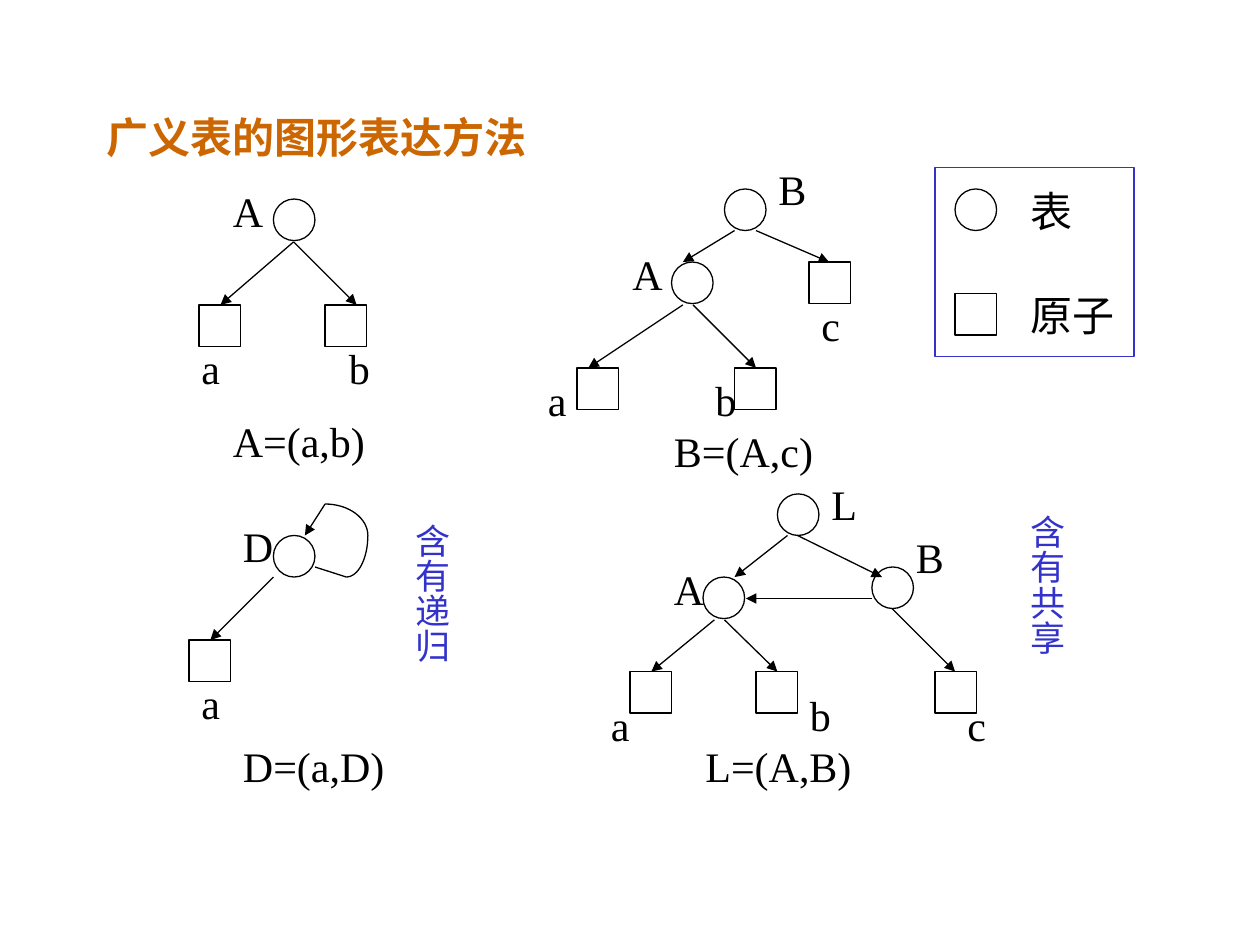
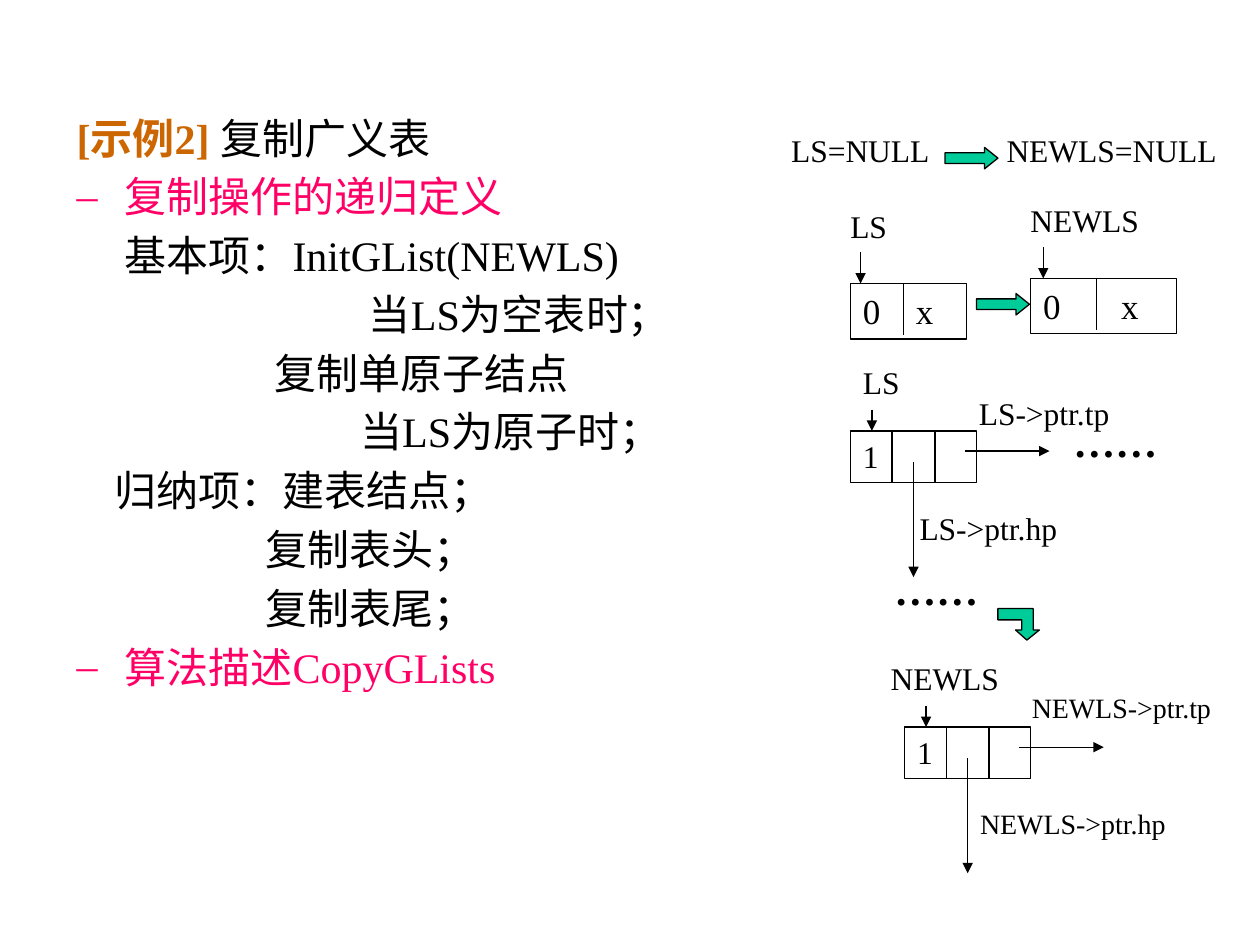
import math

from lxml import etree
from pptx import Presentation
from pptx import util as u
from pptx.dml.color import RGBColor
from pptx.enum import shapes, text
from pptx.oxml.ns import qn

BLACK, WHITE, ORANGE = "000000", "FFFFFF", "CC6600"
BLUE, PINK, GREEN = "3333CC", "FF0066", "00CC99"
FONT = "Times New Roman"
NODE = 0.33


def rgb(value):
    """Turn a hex string into a colour."""
    return RGBColor.from_string(value)


def write(paragraph, content, size=24, color=BLACK, bold=False):
    """Add a formatted run to a paragraph."""
    run = paragraph.add_run()
    run.text = content
    run.font.name, run.font.size = FONT, u.Pt(size)
    run.font.bold, run.font.color.rgb = bold, rgb(color)


def add_tab(paragraph, position):
    """Give a paragraph one left tab stop."""
    tabs = etree.SubElement(paragraph._p.get_or_add_pPr(), qn("a:tabLst"))
    etree.SubElement(tabs, qn("a:tab"), pos=str(u.Inches(position)), algn="l")


def indent(paragraph, left, bullet=None):
    """Indent a paragraph, with a hanging bullet if one is given."""
    properties = paragraph._p.get_or_add_pPr()
    properties.set("marL", str(u.Inches(left)))
    properties.set("indent", str(u.Inches(-left if bullet else 0)))
    if bullet:
        etree.SubElement(properties, qn("a:buFont"), typeface=FONT)
        etree.SubElement(properties, qn("a:buChar"), char=bullet)


class Deck:
    """Holds the presentation, its style and the current slide."""

    def __init__(self):
        """Start an empty 10 by 7.5 inch presentation."""
        self.presentation = Presentation()
        self.presentation.slide_width = u.Inches(10)
        self.presentation.slide_height = u.Inches(7.5)

    def new_slide(self):
        """Add a white blank slide and make it current."""
        layout = self.presentation.slide_layouts[6]
        self.slide = self.presentation.slides.add_slide(layout)
        self.slide.background.fill.solid()
        self.slide.background.fill.fore_color.rgb = rgb(WHITE)

    def style(self, shape, fill=None, line=BLACK):
        """Set fill and outline, and remove the shadow."""
        shape.shadow.inherit = False
        if fill:
            shape.fill.solid()
            shape.fill.fore_color.rgb = rgb(fill)
        else:
            shape.fill.background()
        shape.line.color.rgb = rgb(line)
        shape.line.width = u.Pt(0.75)
        return shape

    def text_box(self, x, y, width, height):
        """Add an empty wrapping text box."""
        shape = self.slide.shapes.add_textbox(*map(u.Inches, (x, y, width, height)))
        shape.text_frame.word_wrap = True
        return shape

    def label(self, content, x, y, width=0.5, height=0.5, tab=None, **style):
        """Add a one-line text."""
        shape = self.text_box(x, y, width, height)
        paragraph = shape.text_frame.paragraphs[0]
        write(paragraph, content, **style)
        if tab:
            add_tab(paragraph, tab)
        return shape

    def vertical_label(self, content, x, y):
        """Add a centred text that runs from top to bottom."""
        shape = self.label(content, x, y, 0.53, 1.65, size=20, color=BLUE)
        shape.text_frame._txBody.bodyPr.set("vert", "eaVert")
        shape.text_frame.paragraphs[0].alignment = text.PP_ALIGN.CENTER

    def preset(self, kind, x, y, width=NODE, height=NODE, **style):
        """Add a preset shape."""
        shape = self.slide.shapes.add_shape(kind, *map(u.Inches, (x, y, width, height)))
        return self.style(shape, **style)

    def lists(self, *places):
        """Draw a circle for each list node."""
        for x, y in places:
            self.preset(shapes.MSO_SHAPE.OVAL, x, y)

    def atoms(self, *places):
        """Draw a square for each atom node."""
        for x, y in places:
            self.preset(shapes.MSO_SHAPE.RECTANGLE, x, y)

    def line(self, x1, y1, x2, y2, arrow=False):
        """Add a straight line, with an arrowhead at its end if asked."""
        connector = self.slide.shapes.add_connector(
            shapes.MSO_CONNECTOR.STRAIGHT, *map(u.Inches, (x1, y1, x2, y2)))
        connector.line.color.rgb = rgb(BLACK)
        connector.line.width = u.Pt(0.75)
        if arrow:
            etree.SubElement(connector.get_or_add_ln(), qn("a:tailEnd"), type="triangle")
        etree.SubElement(connector._element.spPr, qn("a:effectLst"))

    def arrows(self, *ends):
        """Add several arrows."""
        for end in ends:
            self.line(*end, arrow=True)

    def outline(self, points, close=False, **style):
        """Add a freeform through the given points."""
        start, *others = [(u.Inches(x), u.Inches(y)) for x, y in points]
        builder = self.slide.shapes.build_freeform(*start)
        builder.add_line_segments(others, close=close)
        return self.style(builder.convert_to_shape(), **style)

    def arc(self, x, y, width, height):
        """Add a quarter ellipse around a centre, from its side to its end."""
        angles = [math.pi / 2 * step / 16 for step in range(17)]
        self.outline([(x + width * math.cos(a), y + height * math.sin(a)) for a in angles])

    def block_arrow(self, x, y):
        """Add a green arrow to the right."""
        shape = self.preset(shapes.MSO_SHAPE.RIGHT_ARROW, x, y, 0.42, 0.17, fill=GREEN)
        shape.adjustments[0], shape.adjustments[1] = 0.5, 0.625

    def record(self, content, x, y, width, height, dividers, size, tab=None):
        """Add a box with text, divided into fields."""
        shape = self.preset(shapes.MSO_SHAPE.RECTANGLE, x, y, width, height)
        frame = shape.text_frame
        frame.word_wrap = True
        frame.vertical_anchor = text.MSO_ANCHOR.TOP
        paragraph = frame.paragraphs[0]
        paragraph.alignment = text.PP_ALIGN.LEFT
        write(paragraph, content, size=size)
        if tab:
            add_tab(paragraph, tab)
        for offset in dividers:
            self.line(x + offset, y, x + offset, y + 0.41)

    def atom_record(self, name, x, y, width, divider, pointer, tab):
        """Add an atom record with the pointer to it."""
        self.record("0\tx", x, y, width, 0.44, [divider], 20, tab)
        self.arrows((x + pointer, y - 0.25, x + pointer, y))
        self.label(name, x - 0.1, y - 0.66, 1.2, 0.4, size=18)

    def list_record(self, x, y):
        """Add a list record with its pointers to head and tail."""
        self.record("1", x, y, 1, 0.41, [0.33, 0.67], 18)
        self.arrows((x + 0.5, y + 0.25, x + 0.5, y + 1.16),
                    (x + 0.91, y + 0.16, x + 1.58, y + 0.16),
                    (x + 0.17, y - 0.17, x + 0.17, y))

    def body(self, rows):
        """Add the text column; a row has indent, bullet and styled runs."""
        frame = self.text_box(0.51, 0.84, 5.98, 5.36).text_frame
        for number, (left, bullet, runs) in enumerate(rows):
            paragraph = frame.add_paragraph() if number else frame.paragraphs[0]
            if number:
                paragraph.space_before = u.Pt(4.8)
            indent(paragraph, left, bullet)
            for content, style in runs:
                write(paragraph, content, **style)


def graph_slide(deck):
    """Draw generalized lists as graphs."""
    deck.new_slide()
    title = deck.label("广义表的图形表达方法", 0.75, 0.67, 8.5, 0.83, color=ORANGE, bold=True)
    title.text_frame.vertical_anchor = text.MSO_ANCHOR.MIDDLE

    # List A
    deck.lists((2.17, 1.58))
    deck.atoms((1.58, 2.42), (2.58, 2.42))
    deck.arrows((2.33, 1.92, 1.75, 2.42), (2.33, 1.92, 2.83, 2.42))

    # List B
    deck.lists((5.75, 1.5), (5.33, 2.08))
    deck.atoms((6.42, 2.08), (4.58, 2.92), (5.83, 2.92))
    deck.arrows((5.83, 1.83, 5.42, 2.08), (6, 1.83, 6.58, 2.08),
                (5.42, 2.42, 4.67, 2.92), (5.5, 2.42, 6, 2.92))

    # Recursive list D
    deck.lists((2.17, 4.25))
    deck.atoms((1.5, 5.08))
    deck.arc(2.58, 4.25, 0.34, -0.25)
    deck.arc(2.75, 4.25, 0.17, 0.33)
    deck.line(2.5, 4.5, 2.75, 4.58)
    deck.arrows((2.17, 4.58, 1.67, 5.08), (2.58, 4, 2.42, 4.25))
    deck.vertical_label("含有递归", 3.11, 4.06)

    # Shared list L
    deck.lists((6.17, 3.92), (5.58, 4.58), (6.92, 4.5))
    deck.atoms((5, 5.33), (6, 5.33), (7.42, 5.33))
    deck.arrows((6.25, 4.25, 5.83, 4.58), (6.33, 4.25, 7, 4.58),
                (5.67, 4.92, 5.17, 5.33), (5.75, 4.92, 6.17, 5.33),
                (7.08, 4.83, 7.58, 5.33), (6.92, 4.75, 5.92, 4.75))
    deck.vertical_label("含有共享", 7.99, 3.99)

    # Legend
    deck.preset(shapes.MSO_SHAPE.RECTANGLE, 7.42, 1.33, 1.58, 1.5, line=BLUE)
    deck.lists((7.58, 1.5))
    deck.atoms((7.58, 2.33))

    for label in [
        ("A", 1.75, 1.42, 0.75), ("a", 1.5, 2.67, 0.58), ("b", 2.67, 2.67, 0.83),
        ("A=(a,b)", 1.75, 3.25, 2.33),
        ("B", 6.08, 1.25, 0.75), ("A", 4.92, 1.92), ("c", 6.42, 2.33, 0.67),
        ("a", 4.25, 2.92, 0.42), ("b", 5.58, 2.92), ("B=(A,c)", 5.25, 3.33, 1.92),
        ("D", 1.83, 4.08), ("a", 1.5, 5.33, 0.33), ("D=(a,D)", 1.83, 5.83, 1.42),
        ("L", 6.5, 3.75), ("A", 5.25, 4.42, 0.67), ("B", 7.17, 4.17, 0.42),
        ("a", 4.75, 5.5, 0.42), ("b", 6.33, 5.42), ("c", 7.58, 5.5, 0.42),
        ("L=(A,B)", 5.5, 5.83, 2.25),
        ("表", 8.08, 1.42, 1), ("原子", 8.08, 2.25, 1.08),
    ]:
        deck.label(*label)


def copy_slide(deck):
    """Explain and draw how a generalized list is copied."""
    deck.new_slide()
    pink = {"color": PINK}
    deck.body([
        (0, None, [("[示例2] ", {"color": ORANGE, "bold": True}), ("复制广义表", {})]),
        (0.38, "–", [("复制操作的递归定义", pink)]),
        (0.38, None, [("基本项：InitGList(NEWLS)", {})]),
        (2.32, None, [("当LS为空表时；", {})]),
        (1.57, None, [("复制单原子结点", {})]),
        (2.25, None, [("当LS为原子时；", {})]),
        (0.3, None, [("归纳项：建表结点；", {})]),
        (1.5, None, [("复制表头；", {})]),
        (1.5, None, [("复制表尾；", {})]),
        (0.38, "–", [("算法描述CopyGLists", pink)]),
    ])

    # Empty list
    deck.label("LS=NULL\tNEWLS=NULL", 6.18, 0.99, 3.62, 0.4, tab=1.71, size=18)
    deck.block_arrow(7.5, 1.17)

    # Single atom
    deck.atom_record("LS", 6.75, 2.25, 0.92, 0.42, 0.08, 0.42)
    deck.block_arrow(7.75, 2.33)
    deck.atom_record("NEWLS", 8.18, 2.21, 1.16, 0.52, 0.1, 0.62)

    # List with head and tail
    deck.list_record(6.75, 3.42)
    deck.outline([(8.15, 5.08), (8.06, 5), (8.11, 5), (8.11, 4.92), (7.92, 4.92),
                  (7.92, 4.83), (8.2, 4.83), (8.2, 5), (8.25, 5)], close=True, fill=GREEN)
    deck.list_record(7.18, 5.77)

    for content, x, y, width, size in [
        ("LS", 6.75, 2.83, 0.58, 18), ("LS->ptr.tp", 7.67, 3.08, 1.51, 18),
        ("LS->ptr.hp", 7.2, 3.99, 1.57, 18), ("NEWLS", 6.97, 5.18, 1.13, 18),
        ("NEWLS->ptr.tp", 8.09, 5.43, 1.71, 16), ("NEWLS->ptr.hp", 7.68, 6.35, 1.81, 16),
    ]:
        deck.label(content, x, y, width, 0.4, size=size)
    deck.label("……", 8.42, 3.25, 1.08, bold=True)
    deck.label("……", 7, 4.42, 1.17, bold=True)


deck = Deck()
graph_slide(deck)
copy_slide(deck)
deck.presentation.save("out.pptx")
